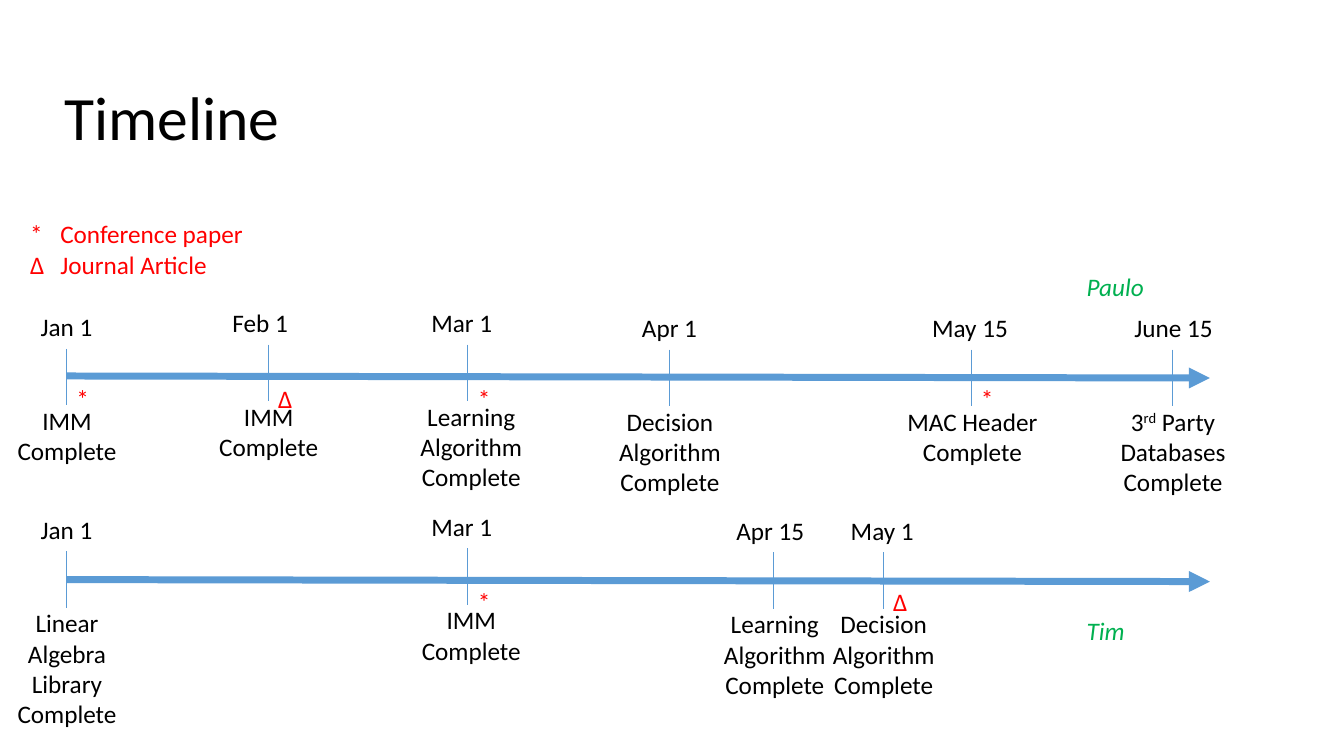
"""Build a timeline slide with one arrow of dated milestones per person."""
from dataclasses import dataclass

from lxml import etree
from pptx import Presentation
from pptx.dml.color import RGBColor
from pptx.enum.shapes import MSO_CONNECTOR
from pptx.enum.text import MSO_ANCHOR, MSO_AUTO_SIZE, PP_ALIGN
from pptx.oxml.ns import qn
from pptx.slide import Slide
from pptx.text.text import TextFrame
from pptx.util import Inches, Pt

LINE = MSO_CONNECTOR.STRAIGHT
LEFT, CENTER = PP_ALIGN.LEFT, PP_ALIGN.CENTER
BOTTOM = MSO_ANCHOR.BOTTOM
NO_FIT = MSO_AUTO_SIZE.NONE


@dataclass(frozen=True)
class Theme:
    """Colours, font and sizes of the slide."""
    font: str = "Calibri"
    black: RGBColor = RGBColor(0, 0, 0)
    red: RGBColor = RGBColor(255, 0, 0)
    green: RGBColor = RGBColor(0, 176, 80)
    blue: RGBColor = RGBColor(91, 155, 213)
    title: int = 44
    body: int = 18
    axis: float = 5
    tick: float = 0.5


@dataclass(frozen=True)
class Mark:
    """A milestone; carets in the label enclose superscript."""
    x: float
    date: str
    mid: float
    label: str
    base: float
    rise: float = 0.27
    sign: str = ""


@dataclass(frozen=True)
class Track:
    """One person's arrow with its milestones."""
    y: float
    owner: str
    top: float
    marks: tuple[Mark, ...]


THEME = Theme()
START, END = 0.66, 12
TRACKS = (
    Track(3.73, "Paulo", 2.64, (
        Mark(0.66, "Jan 1", 0.66, "IMM Complete", 0.66, sign="*"),
        Mark(2.66, "Feb 1", 2.58, "IMM Complete", 2.66, 0.31, "Δ"),
        Mark(4.64, "Mar 1", 4.58, "Learning\nAlgorithm\nComplete", 4.67, 0.31, "*"),
        Mark(6.64, "Apr 1", 6.64, "Decision Algorithm Complete", 6.64, 0.26),
        Mark(9.63, "May 15", 9.62, "MAC Header Complete", 9.64, 0.26, "*"),
        Mark(11.63, "June 15", 11.64, "3^rd^ Party Databases Complete", 11.63, 0.26),
    )),
    Track(5.75, "Tim", 6.06, (
        Mark(0.66, "Jan 1", 0.66, "Linear Algebra Library Complete", 0.66, 0.28),
        Mark(4.64, "Mar 1", 4.58, "IMM\nComplete", 4.67, 0.31, "*"),
        Mark(7.67, "Apr 15", 7.64, "Learning Algorithm Complete", 7.68),
        Mark(8.76, "May 1", 8.75, "Decision Algorithm Complete", 8.76, sign="Δ"),
    )),
)


def style(frame: TextFrame, size: float, color: RGBColor, align: PP_ALIGN,
          italic: bool = False) -> None:
    """Format every paragraph of a frame."""
    for para in frame.paragraphs:
        para.alignment = align
        font = para.font
        font.name, font.size, font.italic = THEME.font, Pt(size), italic
        font.color.rgb = color


def write(slide: Slide, text: str, left: float, top: float, width: float,
          height: float = 0.4, color: RGBColor = THEME.black,
          align: PP_ALIGN = LEFT, italic: bool = False) -> TextFrame:
    """Add a wrapped text box, one paragraph per line."""
    box = slide.shapes.add_textbox(
        Inches(left), Inches(top), Inches(width), Inches(height))
    frame = box.text_frame
    frame.word_wrap = True
    for row, line in enumerate(text.split("\n")):
        para = frame.add_paragraph() if row else frame.paragraphs[0]
        for part, piece in enumerate(line.split("^")):
            run = para.add_run()
            run.text = piece
            if part % 2:
                run.font._element.set("baseline", "30000")
    style(frame, THEME.body, color, align, italic)
    return frame


def rule(slide: Slide, x1: float, y1: float, x2: float, y2: float,
         width: float, arrow: bool = False) -> None:
    """Draw a straight blue line, with an arrowhead if asked."""
    line = slide.shapes.add_connector(
        LINE, Inches(x1), Inches(y1), Inches(x2), Inches(y2))
    line.line.color.rgb = THEME.blue
    line.line.width = Pt(width)
    if arrow:
        etree.SubElement(line.line._get_or_add_ln(), qn("a:tailEnd"), type="triangle")
    etree.SubElement(line._element.spPr, qn("a:effectLst"))


def draw(slide: Slide, track: Track) -> None:
    """Draw a track: arrow, owner, ticks, dates, labels and signs."""
    rule(slide, START, track.y, END, track.y + 0.02, THEME.axis, True)
    write(slide, track.owner, 10.68, track.top, 2.56, color=THEME.green, italic=True)
    for mark in track.marks:
        top = track.y - mark.rise
        rule(slide, mark.x, top, mark.x, top + 0.56, THEME.tick)
        write(slide, mark.date, mark.mid - 0.61, top - 0.42, 1.22, align=CENTER)
        write(slide, mark.label, mark.base - 0.81, top + 0.51, 1.63, 1.01, align=CENTER)
        if mark.sign:
            write(slide, mark.sign, mark.x, track.y + 0.02, 0.35, color=THEME.red)


def head(slide: Slide) -> None:
    """Set the title and the legend of signs."""
    title = slide.shapes.title
    title.left, title.top = Inches(0.41), Inches(0.13)
    title.width, title.height = Inches(2.59), Inches(1.45)
    frame = title.text_frame
    frame.text = "Timeline"
    frame.vertical_anchor, frame.auto_size = BOTTOM, NO_FIT
    frame.paragraphs[0].line_spacing = 0.9
    style(frame, THEME.title, THEME.black, CENTER)
    key = write(slide, "*\tConference paper\nΔ\tJournal Article",
                0.2, 2.12, 2.56, 0.71, THEME.red)
    for para in key.paragraphs:
        props = para._p.get_or_add_pPr()
        props.set("marL", str(Inches(0.3)))
        props.set("indent", str(-Inches(0.3)))


def main() -> None:
    """Build and save the deck."""
    deck = Presentation()
    deck.slide_width, deck.slide_height = Inches(13.33), Inches(7.5)
    slide = deck.slides.add_slide(deck.slide_layouts[5])
    head(slide)
    for track in TRACKS:
        draw(slide, track)
    deck.save("out.pptx")


if __name__ == "__main__":
    main()
